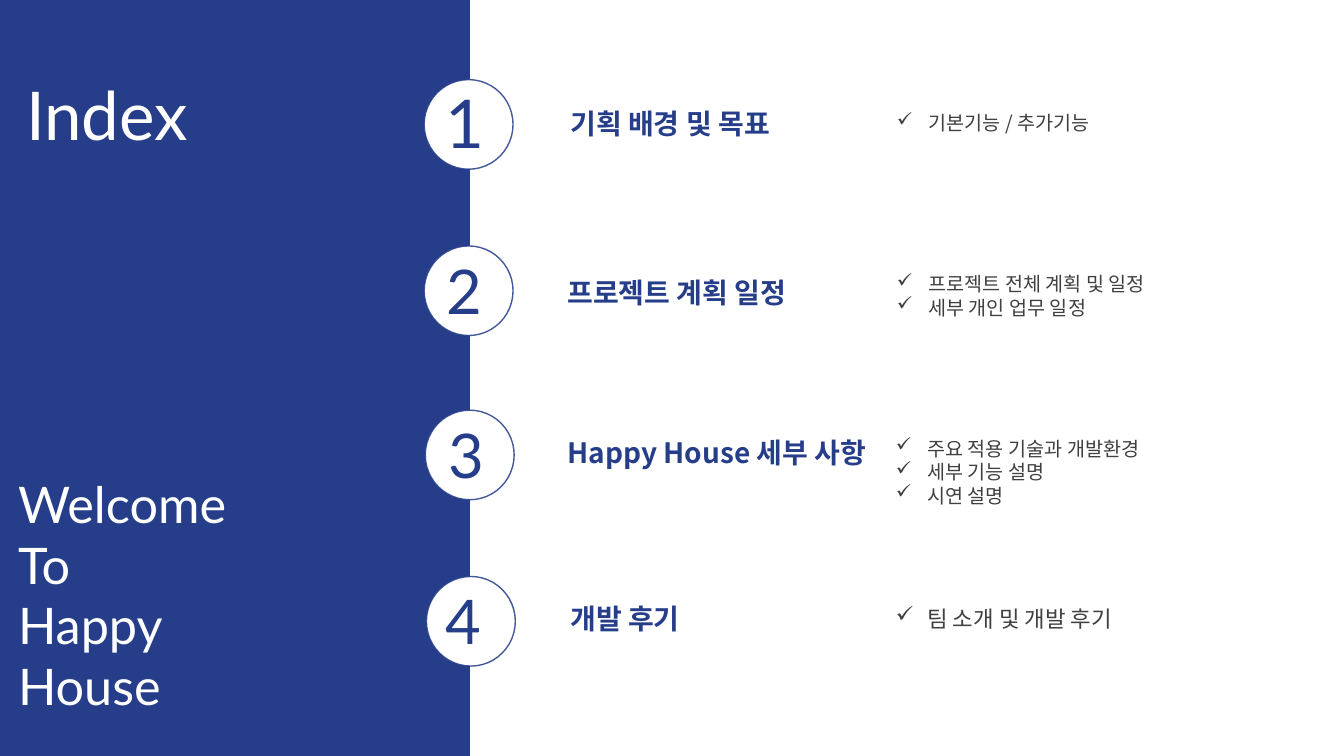
"""Build an index slide with a blue side panel and four numbered sections."""
from dataclasses import dataclass

from lxml import etree
from pptx import Presentation
from pptx import util as u
from pptx.dml.color import RGBColor
from pptx.enum import shapes, text
from pptx.oxml import ns

NAVY = RGBColor(0x26, 0x3E, 0x8A)
WHITE = RGBColor(0xFF, 0xFF, 0xFF)
GRAY = RGBColor(0x40, 0x40, 0x40)
LATIN_FONT = "Lato"
KOREAN_FONT = "Noto Sans CJK KR"
BULLET_INDENT = u.Pt(22.5)


@dataclass(frozen=True)
class Box:
    left: float
    top: float
    width: float
    height: float

    def lengths(self) -> tuple:
        return tuple(u.Pt(value) for value in (self.left, self.top, self.width, self.height))


@dataclass(frozen=True)
class Style:
    font: str
    size: float
    color: RGBColor
    bold: bool = False
    bullet: str = ""


@dataclass(frozen=True)
class Section:
    number: str
    number_size: float
    number_box: Box
    circle: Box
    heading: str
    heading_box: Box
    details: str
    detail_size: float
    detail_box: Box


SECTIONS = (
    Section("1", 48, Box(311, 54.7, 49, 65.5), Box(303, 56.9, 63.5, 64),
            "기획 배경 및 목표", Box(400.3, 72.7, 230, 31.5),
            "기본기능 / 추가기능", 14, Box(633.6, 75.6, 310, 24.5)),
    Section("2", 44, Box(311.8, 177, 46, 60.5), Box(303, 175.7, 63.5, 64),
            "프로젝트 계획 일정", Box(398.2, 193, 230, 31.5),
            "프로젝트 전체 계획 및 일정\n세부 개인 업무 일정", 14, Box(633.6, 190.8, 310, 41)),
    Section("3", 44, Box(313.2, 294.5, 46, 60.5), Box(303.8, 293, 63.5, 64),
            "Happy House 세부 사항", Box(398.2, 307.4, 240, 31.5),
            "주요 적용 기술과 개발환경\n세부 기능 설명\n시연 설명", 14, Box(632.9, 308.2, 310, 58.3)),
    Section("4", 44, Box(311, 412.6, 46, 60.5), Box(304.6, 411.8, 63.5, 64),
            "개발 후기", Box(400.3, 426.2, 230, 31.5),
            "팀 소개 및 개발 후기", 16, Box(632.9, 428.4, 310, 26.6)),
)


def write_text(shape, content: str, style: Style, anchor=text.MSO_ANCHOR.TOP) -> None:
    frame = shape.text_frame
    frame.text = content
    frame.word_wrap = True
    frame.auto_size = text.MSO_AUTO_SIZE.NONE
    frame.vertical_anchor = anchor
    for paragraph in frame.paragraphs:
        paragraph.alignment = text.PP_ALIGN.LEFT
        if style.bullet:
            properties = paragraph._p.get_or_add_pPr()
            properties.set("marL", str(BULLET_INDENT))
            properties.set("indent", str(-BULLET_INDENT))
            etree.SubElement(properties, ns.qn("a:buChar"), char=style.bullet)
        for run in paragraph.runs:
            font = run.font
            font.name, font.size, font.bold = style.font, u.Pt(style.size), style.bold
            font.color.rgb = style.color
            etree.SubElement(run._r.get_or_add_rPr(), ns.qn("a:ea"), typeface=style.font)


def add_text(slide, box: Box, content: str, style: Style, anchor=text.MSO_ANCHOR.TOP) -> None:
    write_text(slide.shapes.add_textbox(*box.lengths()), content, style, anchor)


def add_filled_shape(slide, kind, box: Box, fill: RGBColor):
    shape = slide.shapes.add_shape(kind, *box.lengths())
    shape.shadow.inherit = False
    shape.fill.solid()
    shape.fill.fore_color.rgb = fill
    shape.line.color.rgb = NAVY
    shape.line.width = u.Pt(1)
    return shape


def add_section(slide, section: Section) -> None:
    circle = add_filled_shape(slide, shapes.MSO_SHAPE.OVAL, section.circle, WHITE)
    line_color = circle.element.xpath(".//a:ln//a:srgbClr")[0]
    etree.SubElement(line_color, ns.qn("a:alpha"), val="85000")
    add_text(slide, section.number_box, section.number,
             Style(LATIN_FONT, section.number_size, NAVY))
    add_text(slide, section.heading_box, section.heading,
             Style(KOREAN_FONT, 20, NAVY, bold=True))
    add_text(slide, section.detail_box, section.details,
             Style(KOREAN_FONT, section.detail_size, GRAY, bullet="✓"))


def main() -> None:
    presentation = Presentation()
    presentation.slide_width, presentation.slide_height = u.Pt(960), u.Pt(540)
    slide = presentation.slides.add_slide(presentation.slide_layouts[5])

    panel = add_filled_shape(slide, shapes.MSO_SHAPE.RECTANGLE, Box(0, 0, 335.5, 540), NAVY)
    title = slide.shapes.title
    panel.element.addnext(title.element)
    title.left, title.top, title.width, title.height = Box(11.5, 20.9, 309.6, 121).lengths()
    write_text(title, "Index", Style(LATIN_FONT, 48, WHITE), text.MSO_ANCHOR.MIDDLE)
    add_text(slide, Box(5.8, 334.8, 309.6, 179.3), "Welcome\nTo\nHappy\nHouse",
             Style(LATIN_FONT, 36, WHITE), text.MSO_ANCHOR.MIDDLE)

    for section in SECTIONS:
        add_section(slide, section)
    presentation.save("out.pptx")


if __name__ == "__main__":
    main()
